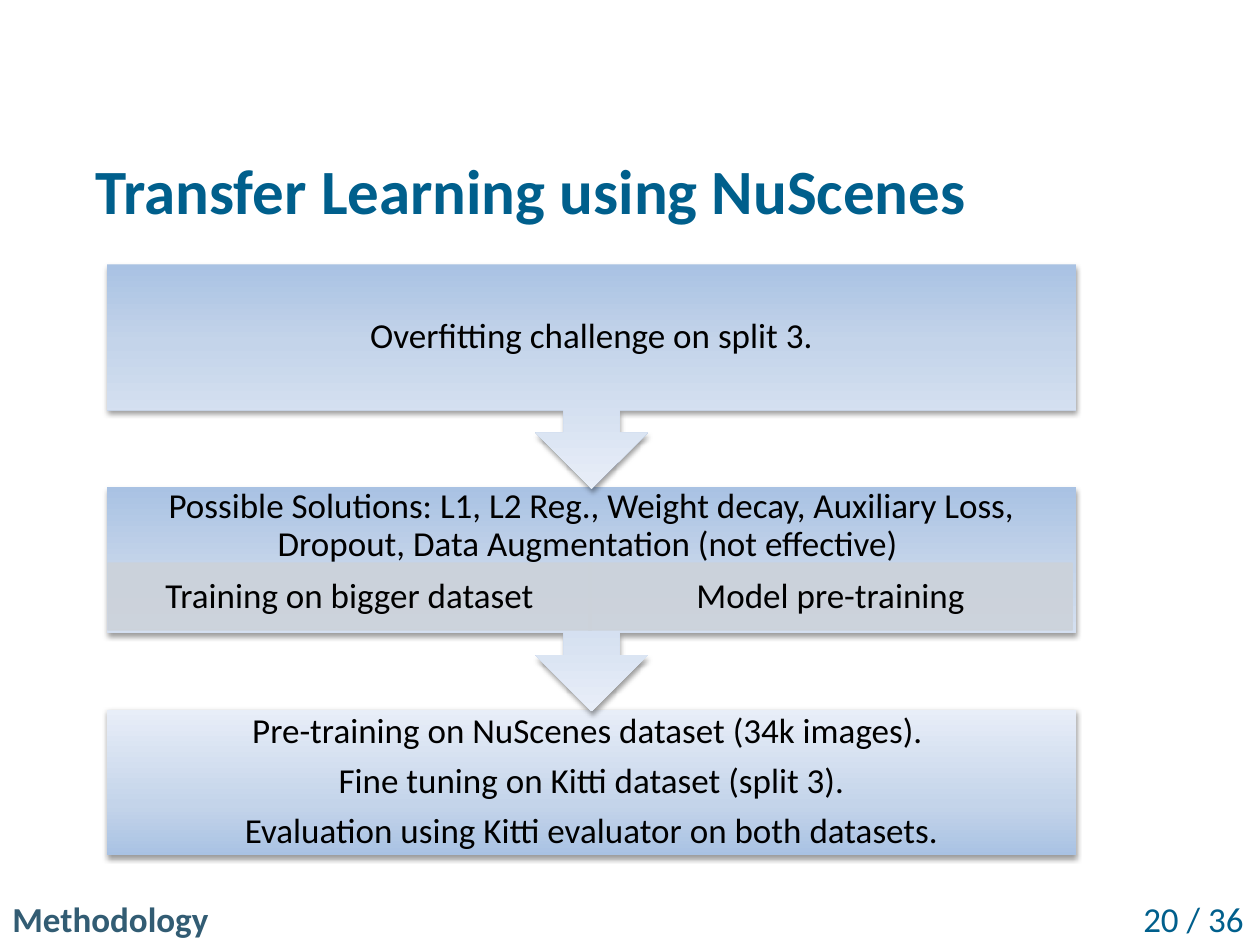
import copy
from dataclasses import dataclass

import pptx
import pptx.dml.color
import pptx.enum.shapes
import pptx.enum.text
import pptx.oxml
import pptx.oxml.ns
import pptx.util

Pt = pptx.util.Pt
RGB = pptx.dml.color.RGBColor
SHAPE = pptx.enum.shapes.MSO_SHAPE
ALIGN = pptx.enum.text.PP_ALIGN
ANCHOR = pptx.enum.text.MSO_ANCHOR
qn = pptx.oxml.ns.qn


@dataclass(frozen=True)
class Theme:
    font: str = "Calibri"
    title_size: float = 36
    body_size: float = 20
    text: RGB = RGB(0, 0, 0)
    accent: RGB = RGB(0x00, 0x5F, 0x8C)
    section: RGB = RGB(0x32, 0x5C, 0x73)
    option: RGB = RGB(0xCC, 0xD2, 0xDA)
    gradient: tuple = ((0, "A9C2E3"), (0.35, "C4D4EA"), (1, "E8EEF8"))


@dataclass(frozen=True)
class Box:
    x: float
    y: float
    w: float
    h: float

    def emu(self) -> tuple:
        return Pt(self.x), Pt(self.y), Pt(self.w), Pt(self.h)


@dataclass(frozen=True)
class Label:
    box: Box
    text: str
    size: float
    color: RGB
    bold: bool
    align: ALIGN


@dataclass(frozen=True)
class Step:
    y: float
    text_h: float
    lines: tuple
    arrow: bool = True


THEME = Theme()
LEFT, WIDTH = 61.2, 553.7
CALLOUT_H, BOX_H = 128.2, 83.3
OPTION_Y, OPTION_W, OPTION_H = 321.8, 276.2, 38.3

# Listed from bottom to top, so that each arrow lies over the next box
STEPS = (
    Step(405.5, BOX_H, (
        "Pre-training on NuScenes dataset (34k images). ",
        "Fine tuning on Kitti dataset (split 3).",
        "Evaluation using Kitti evaluator on both datasets."), arrow=False),
    Step(278.2, 45, (
        "Possible Solutions: L1, L2 Reg., Weight decay, Auxiliary Loss, "
        "Dropout, Data Augmentation (not effective) ",)),
    Step(151, BOX_H, ("Overfitting challenge on split 3.",)),
)
OPTIONS = ((61.7, "Training on bigger dataset"), (336.5, "Model pre-training"))
LABELS = (
    Label(Box(47.5, 82.8, 636.5, 51.1), "Transfer Learning using NuScenes",
          THEME.title_size, THEME.accent, True, ALIGN.LEFT),
    Label(Box(0, 509, 127.4, 31.5), "Methodology",
          THEME.body_size, THEME.section, True, ALIGN.LEFT),
    Label(Box(642.2, 510.5, 75.6, 28.8), "20 / 36",
          THEME.body_size, THEME.accent, False, ALIGN.RIGHT),
)


def set_all(obj: object, values: dict) -> None:
    for name, value in values.items():
        setattr(obj, name, value)


def write(sp, lines: tuple, size: float, color: RGB, bold: bool = False,
          para: dict = {}, inset: tuple = (7.2, 3.6)) -> None:
    tf = sp.text_frame
    across, down = Pt(inset[0]), Pt(inset[1])
    set_all(tf, {"word_wrap": True, "vertical_anchor": ANCHOR.MIDDLE,
                 "margin_left": across, "margin_right": across,
                 "margin_top": down, "margin_bottom": down})
    for i, line in enumerate(lines):
        p = tf.add_paragraph() if i else tf.paragraphs[0]
        set_all(p, para)
        r = p.add_run()
        r.text = line
        set_all(r.font, {"name": THEME.font, "size": Pt(size), "bold": bold})
        r.font.color.rgb = color


def write_body(sp, lines: tuple, inset: tuple) -> None:
    para = {"alignment": ALIGN.CENTER, "line_spacing": 0.9, "space_after": Pt(7)}
    write(sp, lines, THEME.body_size, THEME.text, para=para, inset=inset)


def add_label(s, label: Label) -> None:
    sp = s.shapes.add_textbox(*label.box.emu())
    write(sp, (label.text,), label.size, label.color, label.bold,
          {"alignment": label.align})


def fill_gradient(sp) -> None:
    sp.fill.gradient()
    sp.fill.gradient_angle = 90
    gs_lst = sp.fill.gradient_stops[0]._gs.getparent()
    gs_lst.insert(1, copy.deepcopy(gs_lst[0]))
    for stop, (position, color) in zip(sp.fill.gradient_stops, THEME.gradient):
        stop.position = position
        stop.color.rgb = RGB.from_string(color)


def add_shadow(sp) -> None:
    sp.shadow.inherit = False
    effects = sp._element.spPr.find(qn("a:effectLst"))
    effects.append(pptx.oxml.parse_xml(
        f'<a:outerShdw {pptx.oxml.ns.nsdecls("a")} blurRad="{Pt(3.1)}" '
        f'dist="{Pt(1.6)}" dir="5400000" rotWithShape="0">'
        '<a:srgbClr val="000000"><a:alpha val="38000"/></a:srgbClr>'
        '</a:outerShdw>'))


def add_step(s, step: Step) -> None:
    kind = SHAPE.UP_ARROW_CALLOUT if step.arrow else SHAPE.RECTANGLE
    height = CALLOUT_H if step.arrow else BOX_H
    sp = s.shapes.add_shape(kind, *Box(LEFT, step.y, WIDTH, height).emu())
    fill_gradient(sp)
    sp.line.fill.background()
    add_shadow(sp)
    if step.arrow:
        # The callout is turned to point down, so its text has a box of its own
        sp.rotation = 180
        sp = s.shapes.add_textbox(*Box(LEFT, step.y, WIDTH, step.text_h).emu())
    write_body(sp, step.lines, (11.5, 11.5))


def add_option(s, x: float, text: str) -> None:
    sp = s.shapes.add_shape(SHAPE.RECTANGLE,
                            *Box(x, OPTION_Y, OPTION_W, OPTION_H).emu())
    sp.shadow.inherit = False
    sp.line.width = Pt(0.75)
    for fill in (sp.fill, sp.line.fill):
        fill.solid()
        fill.fore_color.rgb = THEME.option
    for color in sp._element.spPr.iter(qn("a:srgbClr")):
        color.append(pptx.oxml.parse_xml(
            f'<a:alpha {pptx.oxml.ns.nsdecls("a")} val="90000"/>'))
    write_body(sp, (text,), (11.5, 2.2))


def main() -> None:
    prs = pptx.Presentation()
    set_all(prs, {"slide_width": Pt(720), "slide_height": Pt(540)})
    s = prs.slides.add_slide(prs.slide_layouts[6])

    # Process, with the two options inside the middle step
    bottom, middle, top = STEPS
    add_step(s, bottom)
    add_step(s, middle)
    for x, text in OPTIONS:
        add_option(s, x, text)
    add_step(s, top)

    # Title and footer
    for label in LABELS:
        add_label(s, label)

    prs.save("out.pptx")


if __name__ == "__main__":
    main()
